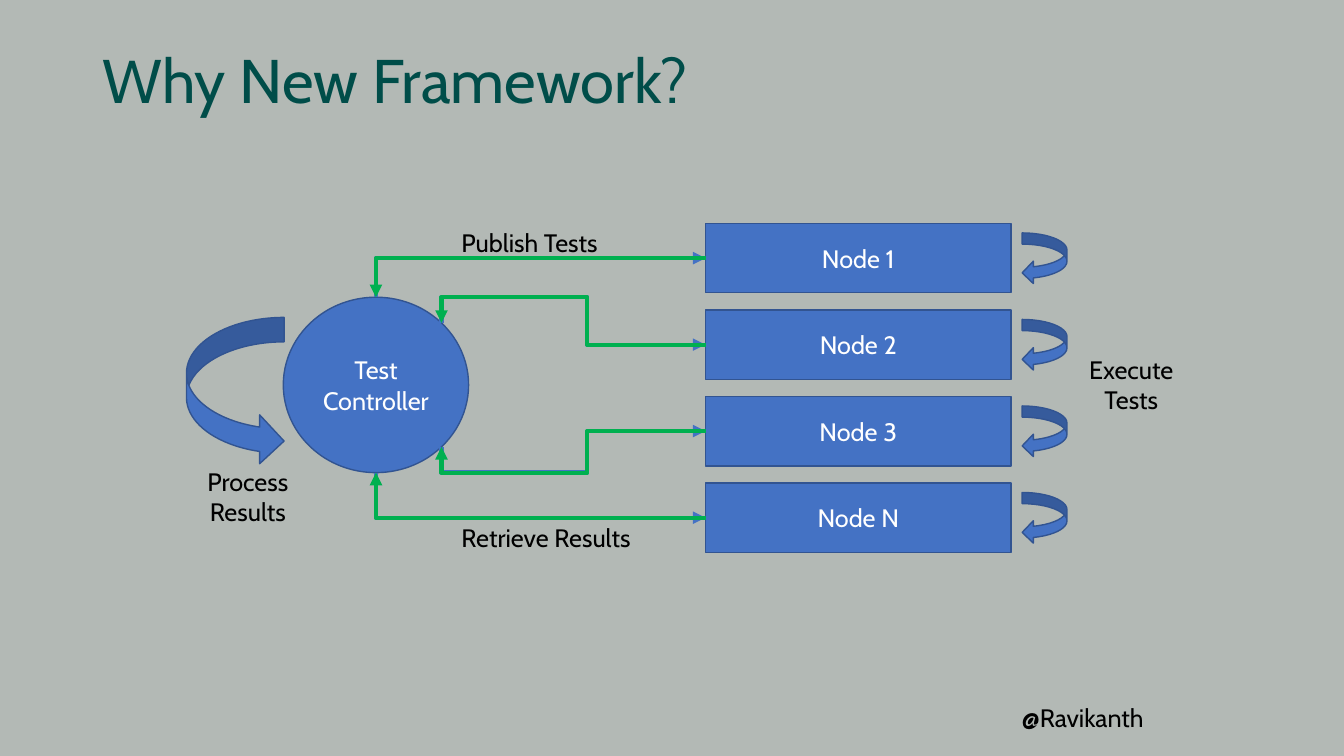
from dataclasses import dataclass
from math import sqrt

from lxml import etree
from pptx import Presentation
from pptx import util as u
from pptx.dml.color import RGBColor
from pptx.enum import shapes, text
from pptx.oxml import ns


@dataclass(frozen=True)
class Theme:
    font: str = "Cabin"
    background: str = "B3B9B5"
    title: str = "004D49"
    body: str = "000000"
    on_fill: str = "FFFFFF"
    fill: str = "4472C4"
    outline: str = "325491"
    publish: str = "4472C4"
    retrieve: str = "00B050"
    title_size: int = 44
    body_size: int = 18
    outline_width: int = 1
    link_width: int = 3


class Diagram:
    """Draws on one slide; all positions and sizes are in centimetres."""

    def __init__(self, slide, theme):
        self.slide, self.theme = slide, theme
        slide.background.fill.solid()
        slide.background.fill.fore_color.rgb = RGBColor.from_string(theme.background)

    def set_wording(self, frame, wording, color, size, align):
        frame.word_wrap = True
        paragraph = frame.paragraphs[0]
        paragraph.text = wording
        paragraph.alignment = align
        paragraph.font.name = self.theme.font
        paragraph.font.size = u.Pt(size)
        paragraph.font.color.rgb = RGBColor.from_string(color)
        return paragraph

    def label(self, wording, box, color=None, size=None,
              align=text.PP_ALIGN.LEFT, middle=False):
        frame = self.slide.shapes.add_textbox(*map(u.Cm, box)).text_frame
        if middle:
            frame.vertical_anchor = text.MSO_ANCHOR.MIDDLE
        else:
            frame.auto_size = text.MSO_AUTO_SIZE.SHAPE_TO_FIT_TEXT
        return self.set_wording(frame, wording, color or self.theme.body,
                                size or self.theme.body_size, align)

    def block(self, kind, box, wording=None):
        shape = self.slide.shapes.add_shape(kind, *map(u.Cm, box))
        shape.shadow.inherit = False
        shape.fill.solid()
        shape.fill.fore_color.rgb = RGBColor.from_string(self.theme.fill)
        shape.line.color.rgb = RGBColor.from_string(self.theme.outline)
        shape.line.width = u.Pt(self.theme.outline_width)
        if wording:
            shape.text_frame.vertical_anchor = text.MSO_ANCHOR.MIDDLE
            self.set_wording(shape.text_frame, wording, self.theme.on_fill,
                             self.theme.body_size, text.PP_ALIGN.CENTER)

    def elbow(self, start, end, color, vertical_first, bend=None):
        """Bent arrow; bend is the (x, y) of its extra turn, if it has one."""
        (x0, y0), (x1, y1) = start, end
        link = self.slide.shapes.add_connector(
            shapes.MSO_CONNECTOR.ELBOW, *map(u.Cm, (x0, y0, x1, y1)))
        link.line.color.rgb = RGBColor.from_string(color)
        link.line.width = u.Pt(self.theme.link_width)
        properties = link._element.spPr
        outline = properties.find(ns.qn("a:ln"))
        etree.SubElement(outline, ns.qn("a:tailEnd"), type="triangle")
        etree.SubElement(properties, ns.qn("a:effectLst"))

        # Orientation: a quarter turn when the arrow leaves vertically
        rising = y1 < y0
        if vertical_first:
            width, height = abs(y1 - y0), abs(x1 - x0)
            link.left = u.Cm((x0 + x1 - width) / 2)
            link.top = u.Cm((y0 + y1 - height) / 2)
            link.width, link.height = u.Cm(width), u.Cm(height)
            angle, flip_h, flip_v = (90 if rising else 270), True, rising
        else:
            angle, flip_h, flip_v = 180, False, not rising
        frame = properties.find(ns.qn("a:xfrm"))
        frame.set("rot", str(angle * 60000))
        frame.set("flipH", str(int(flip_h)))
        frame.set("flipV", str(int(flip_v)))

        # Bends, as fractions of the way along each axis
        geometry = properties.find(ns.qn("a:prstGeom"))
        geometry.set("prst", "bentConnector4" if bend else "bentConnector2")
        if bend:
            across = (bend[0] - x0) / (x1 - x0)
            down = (bend[1] - y0) / (y1 - y0)
            ratios = (down, across) if vertical_first else (across, down)
            guides = geometry.find(ns.qn("a:avLst"))
            for number, ratio in enumerate(ratios, 1):
                etree.SubElement(guides, ns.qn("a:gd"), name=f"adj{number}",
                                 fmla=f"val {round(ratio * 100000)}")


def main():
    deck = Presentation()
    deck.slide_width, deck.slide_height = u.Cm(33.87), u.Cm(19.05)
    theme = Theme()
    diagram = Diagram(deck.slides.add_slide(deck.slide_layouts[6]), theme)
    preset, center = shapes.MSO_SHAPE, text.PP_ALIGN.CENTER

    # Title and author
    title = diagram.label("Why New Framework?", (2.33, 1.02, 29.21, 2.16),
                          theme.title, theme.title_size, middle=True)
    title.line_spacing = 0.9
    diagram.label("@Ravikanth", (25.5, 17.57, 6.05, 1.01), middle=True)

    # Controller
    left, top, width, height = controller = (7.14, 7.49, 4.67, 4.42)
    diagram.block(preset.OVAL, controller, "Test Controller")

    # Nodes
    node_left, node_width, node_height = 17.78, 7.7, 1.75
    node_tops = [5.63 + 2.18 * row for row in range(4)]
    for name, node_top in zip(("Node 1", "Node 2", "Node 3", "Node N"), node_tops):
        diagram.block(preset.RECTANGLE, (node_left, node_top, node_width, node_height), name)

    # Routes between the controller's rim and each node
    middle_x, middle_y, bottom = left + width / 2, top + height / 2, top + height
    diagonal_x = middle_x + width / 2 / sqrt(2)
    diagonal_y = height / 2 / sqrt(2)
    turn = 14.8
    rim = [((middle_x, top), None),
           ((diagonal_x, middle_y - diagonal_y), (turn, top)),
           ((diagonal_x, middle_y + diagonal_y), (turn, bottom)),
           ((middle_x, bottom), None)]
    routes = [(point, (node_left, node_top + node_height / 2), bend)
              for (point, bend), node_top in zip(rim, node_tops)]

    # Publishing arrows
    for point, node, bend in routes:
        diagram.elbow(point, node, theme.publish, True, bend)
    diagram.label("Publish Tests", (11.38, 5.61, 4.39, 1.03))

    # Loops: processing and execution
    diagram.block(preset.CURVED_RIGHT_ARROW, (4.7, 8, 2.46, 3.73))
    diagram.label("Process Results", (4.24, 11.63, 4.01, 1.8), align=center)
    for node_top in node_tops:
        diagram.block(preset.CURVED_LEFT_ARROW, (25.76, node_top + 0.24, 1.13, 1.29))
    diagram.label("Execute Tests", (27.1, 8.81, 2.82, 1.8), align=center)

    # Retrieving arrows
    for point, node, bend in routes:
        diagram.elbow(node, point, theme.retrieve, False, bend)
    diagram.label("Retrieve Results", (11.38, 13.03, 4.9, 1.03))

    deck.save("out.pptx")


if __name__ == "__main__":
    main()
